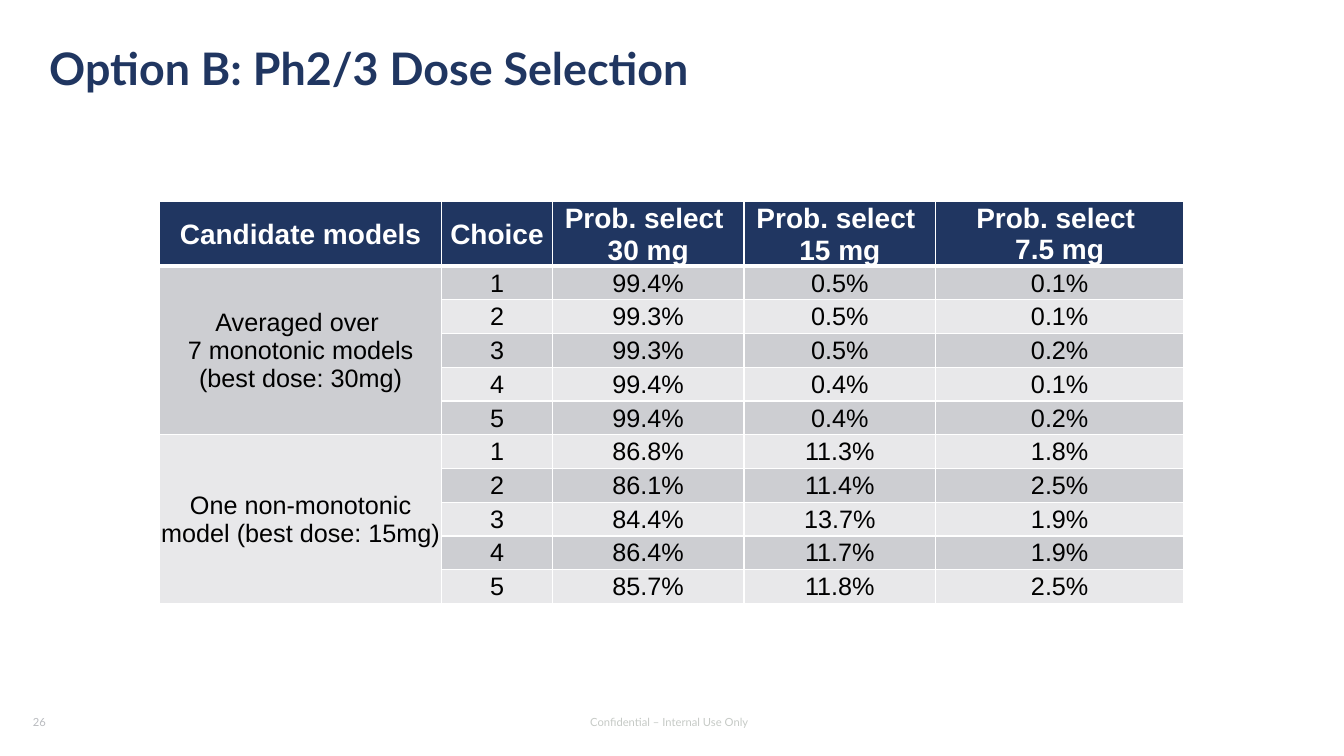
"""Build the dose selection slide with its table of selection probabilities."""
from dataclasses import dataclass

from lxml import etree
from pptx import Presentation
from pptx import util as u
from pptx.dml.color import RGBColor
from pptx.enum import text
from pptx.oxml import ns

NAVY = RGBColor(0x20, 0x36, 0x61)
WHITE = RGBColor(0xFF, 0xFF, 0xFF)
BLACK = RGBColor(0x00, 0x00, 0x00)
DARK_BAND = RGBColor(0xCD, 0xCE, 0xD2)
LIGHT_BAND = RGBColor(0xE8, 0xE8, 0xEA)
FOOTER_GREY = RGBColor(0xC6, 0xCA, 0xC6)
NUMBER_GREY = RGBColor(0xB9, 0xBB, 0xBF)

LEFT = text.PP_ALIGN.LEFT
CENTER = text.PP_ALIGN.CENTER
MIDDLE = text.MSO_ANCHOR.MIDDLE

HEADERS = ["Candidate models", "Choice", "Prob. select \n30 mg",
           "Prob. select \n15 mg", "Prob. select \n7.5 mg"]
COLUMN_WIDTHS = [7.11, 2.79, 4.83, 4.83, 6.25]
HEADER_HEIGHT, ROW_HEIGHT = 1.6, 0.85


@dataclass(frozen=True)
class ModelGroup:
    label: str
    probabilities: list[tuple[str, str, str]]


@dataclass(frozen=True)
class FooterItem:
    wording: str
    left: float
    color: RGBColor
    align: text.PP_ALIGN


GROUPS = [
    ModelGroup("Averaged over \n7 monotonic models (best dose: 30mg)", [
        ("99.4%", "0.5%", "0.1%"),
        ("99.3%", "0.5%", "0.1%"),
        ("99.3%", "0.5%", "0.2%"),
        ("99.4%", "0.4%", "0.1%"),
        ("99.4%", "0.4%", "0.2%"),
    ]),
    ModelGroup("One non-monotonic model (best dose: 15mg)", [
        ("86.8%", "11.3%", "1.8%"),
        ("86.1%", "11.4%", "2.5%"),
        ("84.4%", "13.7%", "1.9%"),
        ("86.4%", "11.7%", "1.9%"),
        ("85.7%", "11.8%", "2.5%"),
    ]),
]

FOOTER_ITEMS = [
    FooterItem("Confidential – Internal Use Only", 13.06, FOOTER_GREY, CENTER),
    FooterItem("26", 0.58, NUMBER_GREY, LEFT),
]


def write_text(frame, wording: str, *, size: float, color: RGBColor,
               font: str = "Arial", bold: bool = False,
               align: text.PP_ALIGN = CENTER, spacing: float = 1.0) -> None:
    frame.text = wording
    frame.word_wrap = True
    for paragraph in frame.paragraphs:
        paragraph.alignment = align
        paragraph.line_spacing = spacing
        for run in paragraph.runs:
            run.font.name = font
            run.font.size = u.Pt(size)
            run.font.bold = bold
            run.font.color.rgb = color


def set_borders(cell, **widths: float) -> None:
    properties = cell._tc.get_or_add_tcPr()
    for side in "LRTB":
        line = etree.SubElement(properties, ns.qn(f"a:ln{side}"),
                                w=str(u.Pt(widths.get(side, 1))))
        fill = etree.SubElement(line, ns.qn("a:solidFill"))
        etree.SubElement(fill, ns.qn("a:srgbClr"), val=str(WHITE))


def format_cell(cell, row: int, column: int) -> None:
    is_header = row == 0
    if is_header:
        set_borders(cell, B=3)
    else:
        set_borders(cell, T=3 if row == 1 else 1)
    cell.fill.solid()
    cell.fill.fore_color.rgb = (NAVY if is_header else
                                DARK_BAND if row % 2 else LIGHT_BAND)
    cell.vertical_anchor = MIDDLE
    wide_inset = is_header and column < len(HEADERS) - 1
    inset = u.Cm(0.05 if wide_inset else 0.02)
    cell.margin_left = cell.margin_right = cell.margin_top = inset
    cell.margin_bottom = 0
    write_text(cell.text_frame, cell.text_frame.text, bold=is_header,
               size=20 if is_header else 18,
               color=WHITE if is_header else BLACK)


def table_rows() -> list[list[str]]:
    rows = [HEADERS]
    for group in GROUPS:
        for choice, values in enumerate(group.probabilities, start=1):
            label = group.label if choice == 1 else ""
            rows.append([label, str(choice), *values])
    return rows


def add_title(slide) -> None:
    title = slide.shapes.title
    title.left, title.top = u.Cm(1.24), u.Cm(1.19)
    title.width, title.height = u.Cm(31.29), u.Cm(1.35)
    frame = title.text_frame
    frame.margin_left = frame.margin_right = 0
    frame.margin_top = frame.margin_bottom = 0
    frame.vertical_anchor = text.MSO_ANCHOR.TOP
    frame.auto_size = text.MSO_AUTO_SIZE.NONE
    write_text(frame, "Option B: Ph2/3 Dose Selection", size=32, color=NAVY,
               font="Lato", bold=True, align=LEFT, spacing=0.9)


def add_probability_table(slide) -> None:
    rows = table_rows()
    table = slide.shapes.add_table(
        len(rows), len(HEADERS), u.Cm(4.02), u.Cm(5.08),
        u.Cm(sum(COLUMN_WIDTHS)),
        u.Cm(HEADER_HEIGHT + ROW_HEIGHT * (len(rows) - 1))).table
    table.horz_banding = False
    for column, width in zip(table.columns, COLUMN_WIDTHS):
        column.width = u.Cm(width)
    for row_index, values in enumerate(rows):
        table.rows[row_index].height = u.Cm(ROW_HEIGHT if row_index else HEADER_HEIGHT)
        for column_index, value in enumerate(values):
            cell = table.cell(row_index, column_index)
            cell.text_frame.text = value
            format_cell(cell, row_index, column_index)
    first = 1
    for group in GROUPS:
        last = first + len(group.probabilities) - 1
        table.cell(first, 0).merge(table.cell(last, 0))
        first = last + 1


def add_footer(slide, item: FooterItem) -> None:
    shape = slide.shapes.add_textbox(u.Cm(item.left), u.Cm(17.78),
                                     u.Cm(7.62), u.Cm(0.81))
    shape.text_frame.vertical_anchor = MIDDLE
    write_text(shape.text_frame, item.wording, size=8, color=item.color,
               font="Lato", align=item.align)


def main() -> None:
    presentation = Presentation()
    presentation.slide_width = u.Cm(33.87)
    presentation.slide_height = u.Cm(19.05)
    slide = presentation.slides.add_slide(presentation.slide_layouts[5])
    add_title(slide)
    add_probability_table(slide)
    for item in FOOTER_ITEMS:
        add_footer(slide, item)
    presentation.save("out.pptx")


if __name__ == "__main__":
    main()
